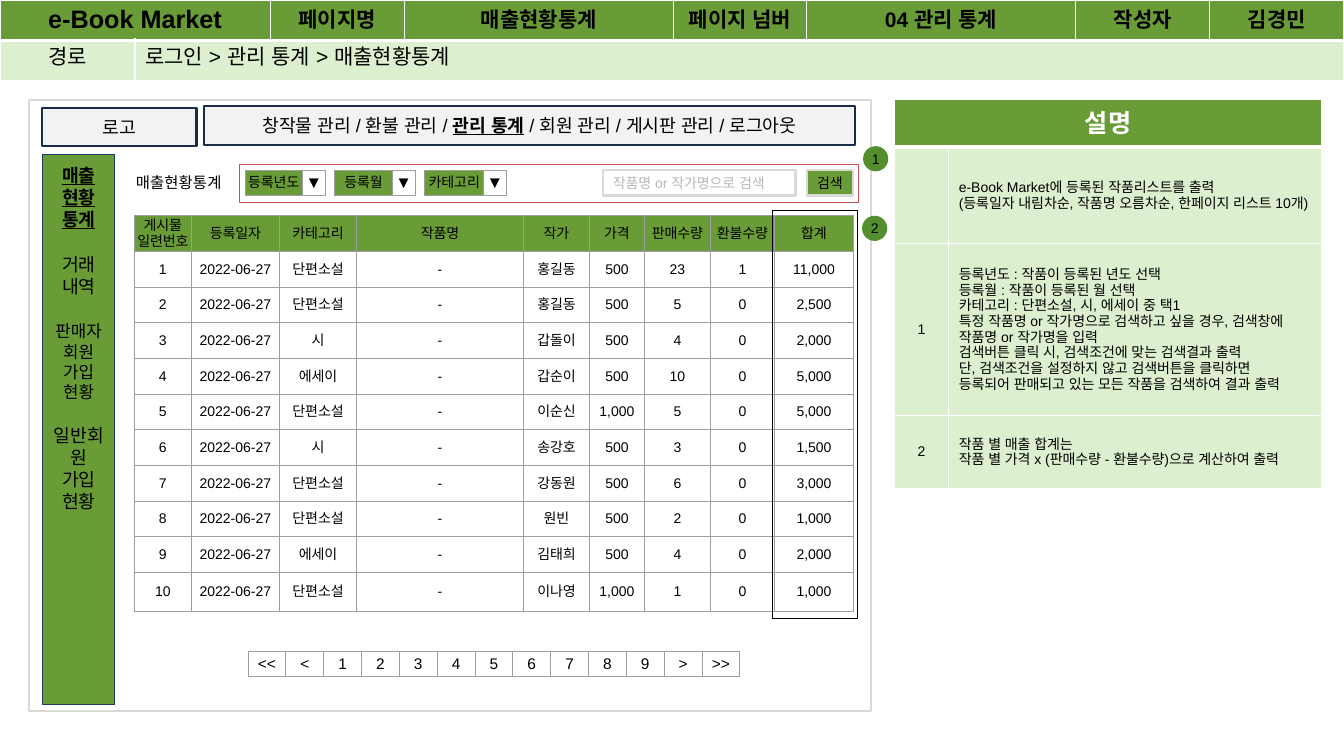
from pptx import Presentation
from pptx.dml.color import RGBColor
from pptx.enum.shapes import MSO_SHAPE as SHAPE
from pptx.enum.text import MSO_ANCHOR as ANCHOR, PP_ALIGN as ALIGN
from pptx.oxml.ns import qn
from pptx.util import Inches, Pt
from lxml import etree

GREEN = RGBColor(0x69, 0x9B, 0x37)
BADGE = RGBColor(0x53, 0x8E, 0x2F)
PALE = RGBColor(0xDC, 0xEF, 0xCE)
WHITE = RGBColor(0xFF, 0xFF, 0xFF)
BLACK = RGBColor(0, 0, 0)
LIGHT = RGBColor(0xF2, 0xF2, 0xF2)
SILVER = RGBColor(0xD9, 0xD9, 0xD9)
GRID = RGBColor(0x9E, 0x9E, 0x9E)
HINT = RGBColor(0xB7, 0xB7, 0xB7)
NAVY = RGBColor(0x17, 0x2D, 0x48)
BLUE = RGBColor(0x1C, 0x3D, 0x62)
RED = RGBColor(0xC7, 0x52, 0x52)
FONT = "Arial"

AUTHORS = ["홍길동", "홍길동", "갑돌이", "갑순이", "이순신",
           "송강호", "강동원", "원빈", "김태희", "이나영"]
KINDS = ["단편소설", "단편소설", "시", "에세이", "단편소설",
         "시", "단편소설", "단편소설", "에세이", "단편소설"]
PRICES = [500, 500, 500, 500, 1000, 500, 500, 500, 500, 1000]
SOLD = [23, 5, 4, 10, 5, 3, 6, 2, 4, 1]
REFUNDS = [1] + [0] * 9
TOTALS = [11000, 2500, 2000, 5000, 5000, 1500, 3000, 1000, 2000, 1000]


def write(box, paras, size=10, color=BLACK, bold=False, underline=False,
          align=ALIGN.CENTER, anchor=ANCHOR.MIDDLE, inset=(0, 0)):
    """Fill a cell or text frame; a paragraph is a string or (text, format) runs."""
    tf = getattr(box, "text_frame", box)
    tf.word_wrap = True
    box.vertical_anchor = anchor
    box.margin_left = box.margin_right = Inches(inset[0])
    box.margin_top = box.margin_bottom = Inches(inset[1])
    for i, para in enumerate([paras] if isinstance(paras, str) else paras):
        p = tf.paragraphs[0] if i == 0 else tf.add_paragraph()
        p.alignment = align
        for text, fmt in [(para, {})] if isinstance(para, str) else para:
            r = p.add_run()
            r.text = text
            r.font.size = Pt(fmt.get("size", size))
            r.font.bold = fmt.get("bold", bold)
            r.font.underline = fmt.get("underline", underline)
            r.font.color.rgb = color
            r.font.name = FONT
            # Korean text takes the East Asian font
            etree.SubElement(r.font._element, qn("a:ea"), typeface=FONT)
            if "before" in fmt:
                p.space_before = Pt(fmt["before"])


def add_box(s, x, y, w, h, fill=None, line=None, width=0.75, kind=SHAPE.RECTANGLE):
    sp = s.shapes.add_shape(kind, Inches(x), Inches(y), Inches(w), Inches(h))
    sp.shadow.inherit = False
    if fill is None:
        sp.fill.background()
    else:
        sp.fill.solid()
        sp.fill.fore_color.rgb = fill
    if line is None:
        sp.line.fill.background()
    else:
        sp.line.color.rgb = line
        sp.line.width = Pt(width)
    return sp


def add_grid(s, x, y, cols, rows):
    shape = s.shapes.add_table(len(rows), len(cols), Inches(x), Inches(y),
                               Inches(sum(cols)), Inches(sum(rows)))
    table = shape.table
    table.first_row = table.horz_banding = False
    for column, width in zip(table.columns, cols):
        column.width = Inches(width)
    for row, height in zip(table.rows, rows):
        row.height = Inches(height)
    return table


def paint(cell, fill=None, line=GRID, width=0.75, bottom=None):
    if fill is None:
        cell.fill.background()
    else:
        cell.fill.solid()
        cell.fill.fore_color.rgb = fill
    tc_pr = cell._tc.get_or_add_tcPr()
    for i, side in enumerate("LRTB"):
        points = bottom if side == "B" and bottom else width
        ln = etree.Element(qn(f"a:ln{side}"), w=str(Pt(points)))
        solid = etree.SubElement(ln, qn("a:solidFill"))
        etree.SubElement(solid, qn("a:srgbClr"), val=str(line))
        tc_pr.insert(i, ln)


def page_header(s, x, y):
    t = add_grid(s, x, y, [1.34, 1.34, 1.33, 2.67, 1.32, 2.67, 1.33, 1.33], [0.4] * 2)
    for c in range(8):
        paint(t.cell(0, c), GREEN, WHITE, 1, bottom=3)
        paint(t.cell(1, c), PALE, WHITE, 1)
    t.cell(0, 0).merge(t.cell(0, 1))
    t.cell(1, 1).merge(t.cell(1, 7))
    pad = dict(inset=(0.1, 0.05))
    write(t.cell(0, 0), "e-Book Market", size=18, bold=True, **pad)
    labels = ["페이지명", "매출현황통계", "페이지 넘버", "04 관리 통계", "작성자", "김경민"]
    for c, label in enumerate(labels, 2):
        write(t.cell(0, c), label, size=15, bold=True, **pad)
    write(t.cell(1, 0), "경로", size=15, anchor=ANCHOR.TOP, **pad)
    write(t.cell(1, 1), "로그인 > 관리 통계 > 매출현황통계", size=15,
          align=ALIGN.LEFT, anchor=ANCHOR.TOP, **pad)


def description(s, x, y):
    notes = [
        ("", ["e-Book Market에 등록된 작품리스트를 출력",
              "(등록일자 내림차순, 작품명 오름차순, 한페이지 리스트 10개)"]),
        ("1", ["등록년도 : 작품이 등록된 년도 선택",
               "등록월 : 작품이 등록된 월 선택",
               "카테고리 : 단편소설, 시, 에세이 중 택1",
               "특정 작품명 or 작가명으로 검색하고 싶을 경우, 검색창에 작품명 or 작가명을 입력",
               "검색버튼 클릭 시, 검색조건에 맞는 검색결과 출력",
               "단, 검색조건을 설정하지 않고 검색버튼을 클릭하면",
               "등록되어 판매되고 있는 모든 작품을 검색하여 결과 출력"]),
        ("2", ["작품 별 매출 합계는",
               "작품 별 가격 x (판매수량 - 환불수량)으로 계산하여 출력"]),
    ]
    t = add_grid(s, x, y, [0.54, 3.7], [0.47, 0.96, 1.7, 0.73])
    pad = dict(inset=(0.1, 0.05))
    for c in range(2):
        paint(t.cell(0, c), GREEN, WHITE, 1, bottom=3)
    t.cell(0, 0).merge(t.cell(0, 1))
    write(t.cell(0, 0), "설명", size=18, color=WHITE, bold=True, **pad)
    for i, (number, lines) in enumerate(notes, 1):
        for c in range(2):
            paint(t.cell(i, c), PALE, WHITE, 1)
        if number:
            write(t.cell(i, 0), number, **pad)
        write(t.cell(i, 1), lines, align=ALIGN.LEFT, **pad)


def navigation(s, x, y):
    pad = dict(inset=(0.1, 0.05))
    menu = add_box(s, x + 1.6, y, 6.46, 0.39, LIGHT, NAVY, 1.5)
    write(menu.text_frame, [[("창작물 관리 / 환불 관리 / ", {}),
                             ("관리 통계", dict(bold=True, underline=True)),
                             (" / 회원 관리 / 게시판 관리 / 로그아웃", {})]], size=13, **pad)
    logo = add_box(s, x, y + 0.02, 1.53, 0.38, LIGHT, NAVY, 1.5)
    write(logo.text_frame, "로고", size=13, **pad)


def sidebar(s, x, y):
    current = dict(bold=True, underline=True)
    sp = add_box(s, x, y, 0.72, 5.46, GREEN, BLUE)
    write(sp.text_frame, [
        [("매출", current)], [("현황 통계", current)],
        [("거래", dict(before=17))], "내역",
        [("판매자회원 가입", dict(size=12, before=17))], [("현황", dict(size=12))],
        [("일반회원", dict(before=16))], "가입", "현황",
    ], size=13, anchor=ANCHOR.TOP, inset=(0.1, 0.1))


def search_bar(s, x, y):
    label = s.shapes.add_textbox(Inches(x), Inches(y), Inches(1.24), Inches(0.39))
    write(label.text_frame, "매출현황통계", size=11, align=ALIGN.LEFT,
          anchor=ANCHOR.TOP, inset=(0.1, 0.1))
    add_box(s, x + 1.13, y, 6.14, 0.38, WHITE, RED)
    # Drop-down filters
    for dx, name, w, arrow_w in [(1.18, "등록년도", 0.57, 0.23), (2.07, "등록월", 0.57, 0.23),
                                 (2.96, "카테고리", 0.59, 0.22)]:
        t = add_grid(s, x + dx, y + 0.06, [w, arrow_w], [0.25])
        paint(t.cell(0, 0), GREEN)
        paint(t.cell(0, 1))
        write(t.cell(0, 0), name)
        write(t.cell(0, 1), "▼", size=12)
    # Search field and button
    field = add_box(s, x + 4.73, y + 0.06, 1.91, 0.25, WHITE, SILVER, 1.5)
    write(field.text_frame, "작품명 or 작가명으로 검색", color=HINT,
          align=ALIGN.LEFT, inset=(0.1, 0.1))
    button = add_box(s, x + 6.75, y + 0.06, 0.46, 0.25, GREEN, SILVER, 1.5)
    write(button.text_frame, "검색")


def sales_list(s, x, y, height=3.93, last=0.39):
    rows = [[["게시물", "일련번호"], "등록일자", "카테고리", "작품명", "작가",
             "가격", "판매수량", "환불수량", "합계"]]
    books = zip(KINDS, AUTHORS, PRICES, SOLD, REFUNDS, TOTALS)
    for n, (kind, author, price, sold, refund, total) in enumerate(books, 1):
        rows.append([str(n), "2022-06-27", kind, "-", author, f"{price:,}",
                     str(sold), str(refund), f"{total:,}"])
    t = add_grid(s, x, y, [0.57, 0.87, 0.77, 1.65, 0.66, 0.54, 0.66, 0.63, 0.79],
                 [(height - last) / 10] * 10 + [last])
    for i, row in enumerate(rows):
        for c, text in enumerate(row):
            paint(t.cell(i, c), GREEN if i == 0 else None)
            write(t.cell(i, c), text)


def pagination(s, x, y, width=4.88):
    labels = ["<<", "<", *map(str, range(1, 10)), ">", ">>"]
    t = add_grid(s, x, y, [width / len(labels)] * len(labels), [0.25])
    for c, label in enumerate(labels):
        paint(t.cell(0, c))
        write(t.cell(0, c), label, size=11)


def screen(s, x, y):
    add_box(s, x, y, 8.35, 6.06, WHITE, SILVER, 1.5)
    navigation(s, x + 0.13, y + 0.06)
    sidebar(s, x + 0.13, y + 0.54)
    search_bar(s, x + 0.96, y + 0.64)
    sales_list(s, x + 1.04, y + 1.15)
    pagination(s, x + 2.17, y + 5.47)
    # Numbered callouts and the outlined total column
    for number, dx, dy in [("1", 8.27, 0.46), ("2", 8.26, 1.15)]:
        sp = add_box(s, x + dx, y + dy, 0.25, 0.25, BADGE, kind=SHAPE.OVAL)
        write(sp.text_frame, number)
    add_box(s, x + 7.37, y + 1.1, 0.85, 4.05, line=BLACK)


def main():
    prs = Presentation()
    prs.slide_width, prs.slide_height = Inches(13.33), Inches(7.5)
    s = prs.slides.add_slide(prs.slide_layouts[6])
    screen(s, 0.29, 0.99)
    page_header(s, 0, 0)
    description(s, 8.87, 0.99)
    prs.save("out.pptx")


if __name__ == "__main__":
    main()
